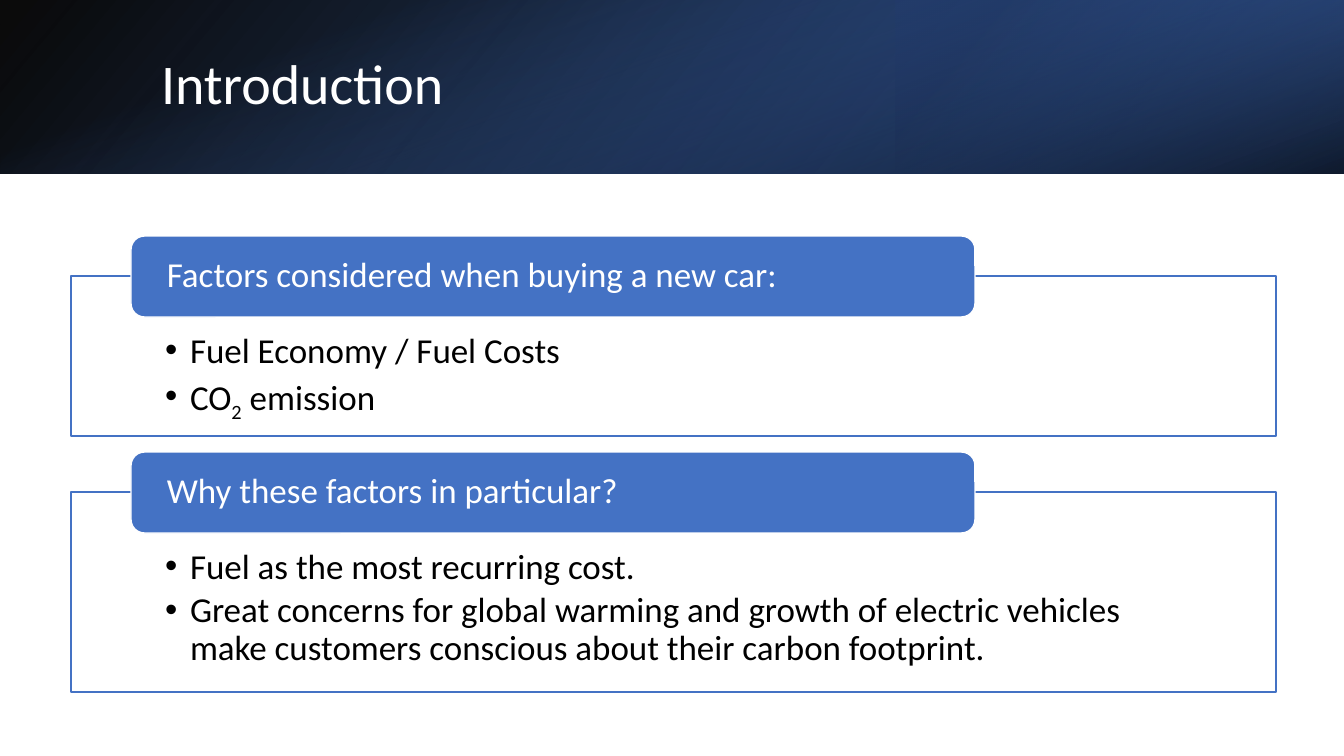
from lxml.etree import SubElement
from pptx import Presentation
from pptx.dml.color import RGBColor
from pptx.enum.shapes import MSO_SHAPE
from pptx.enum.text import MSO_ANCHOR, MSO_AUTO_SIZE, PP_ALIGN
from pptx.oxml.ns import qn
from pptx.util import Emu, Pt

PX = 914400 / 100.8
WHITE = RGBColor(0xFF, 0xFF, 0xFF)
BLACK = RGBColor(0x00, 0x00, 0x00)
BLUE = RGBColor(0x44, 0x72, 0xC4)
DARK_BLUE = RGBColor(0x2F, 0x55, 0x97)
NAVY = RGBColor(0x20, 0x38, 0x64)


def px(length):
    return Emu(round(length * PX))


def write(para, text, size=25, color=BLACK, baseline=0, after=0):
    para.alignment = PP_ALIGN.LEFT
    para.line_spacing = 0.9
    para.space_before = Pt(0)
    para.space_after = Pt(after)
    span = para.add_run()
    span.text = text
    span.font.name = "Calibri"
    span.font.size = Pt(size)
    span.font.color.rgb = color
    if baseline:
        span.font._element.set("baseline", str(baseline * 1000))


deck = Presentation()
deck.slide_width, deck.slide_height = px(1344), px(756)
page = deck.slides.add_slide(deck.slide_layouts[3])
title, *lists = page.placeholders

# Header band: three layered gradients behind the title
# (left, top, width, height), rotation, flipped, angle, (position, colour, opacity)
layers = [
    ((0, 0, 1344, 174), 0, True, 140, [(0, BLACK, 96), (100, DARK_BLUE, 100)]),
    ((896, 0, 448, 174), 180, True, 320, [(19, NAVY, 68), (100, BLUE, 79)]),
    ((585, -585, 174, 1344), 90, False, 340, [(23, BLUE, 0), (99, BLACK, 74)]),
]
for depth, (place, rotation, flipped, angle, stops) in enumerate(layers):
    band = page.shapes.add_shape(MSO_SHAPE.RECTANGLE, *map(px, place))
    band.shadow.inherit = False
    band.line.fill.background()
    band.rotation = rotation
    if flipped:
        band._element.spPr.find(qn("a:xfrm")).set("flipH", "1")
    band.fill.gradient()
    gradient = band._element.spPr.find(qn("a:gradFill"))
    gradient.find(qn("a:lin")).set("ang", str(angle * 60000))
    gradient.find(qn("a:lin")).set("scaled", "0")
    stop_list = gradient.find(qn("a:gsLst"))
    for old_stop in list(stop_list):
        stop_list.remove(old_stop)
    for position, color, opacity in stops:
        stop = SubElement(stop_list, qn("a:gs"), pos=str(position * 1000))
        tint = SubElement(stop, qn("a:srgbClr"), val=str(color))
        SubElement(tint, qn("a:alpha"), val=str(opacity * 1000))
    page.shapes._spTree.insert(2 + depth, band._element)

# Title
title.left, title.top, title.width, title.height = map(px, (151, 38, 1107, 97))
title.text_frame.vertical_anchor = MSO_ANCHOR.MIDDLE
title.text_frame.auto_size = MSO_AUTO_SIZE.NONE
write(title.text_frame.paragraphs[0], "Introduction", size=40, color=WHITE)

# Sections: top, height, heading, bullets as (text, baseline) spans
sections = [
    (276, 160, "Factors considered when buying a new car:",
     [[("Fuel Economy / Fuel Costs", 0)],
      [("CO", 0), ("2", -25), (" emission", 0)]]),
    (492, 200, "Why these factors in particular?",
     [[("Fuel as the most recurring cost.", 0)],
      [("Great concerns for global warming and growth of electric vehicles "
        "make customers conscious about their carbon footprint.", 0)]]),
]
for box, (top, height, heading, bullets) in zip(lists, sections):
    # Framed list
    box.left, box.top, box.width, box.height = map(px, (71, top, 1205, height))
    box.fill.solid()
    box.fill.fore_color.rgb = WHITE
    box.line.color.rgb = BLUE
    box.line.width = Pt(1)
    frame = box.text_frame
    frame.auto_size = MSO_AUTO_SIZE.NONE
    frame.vertical_anchor = MSO_ANCHOR.TOP
    frame.margin_left = frame.margin_right = px(94)
    frame.margin_top, frame.margin_bottom = px(57), px(19)
    for number, spans in enumerate(bullets):
        para = frame.add_paragraph() if number else frame.paragraphs[0]
        for text, baseline in spans:
            write(para, text, baseline=baseline, after=4)
        properties = para._p.get_or_add_pPr()
        properties.set("marL", str(px(25)))
        properties.set("indent", str(px(-25)))
        SubElement(properties, qn("a:buChar"), char="•")

    # Heading tab straddling the top edge of the frame
    tab = page.shapes.add_shape(
        MSO_SHAPE.ROUNDED_RECTANGLE, *map(px, (131, top - 40, 844, 81)))
    tab.shadow.inherit = False
    tab.fill.solid()
    tab.fill.fore_color.rgb = BLUE
    tab.line.color.rgb = WHITE
    tab.line.width = Pt(1)
    frame = tab.text_frame
    frame.word_wrap = True
    frame.vertical_anchor = MSO_ANCHOR.MIDDLE
    frame.margin_left = frame.margin_right = px(32)
    frame.margin_top = frame.margin_bottom = 0
    write(frame.paragraphs[0], heading, color=WHITE)

deck.save("out.pptx")
